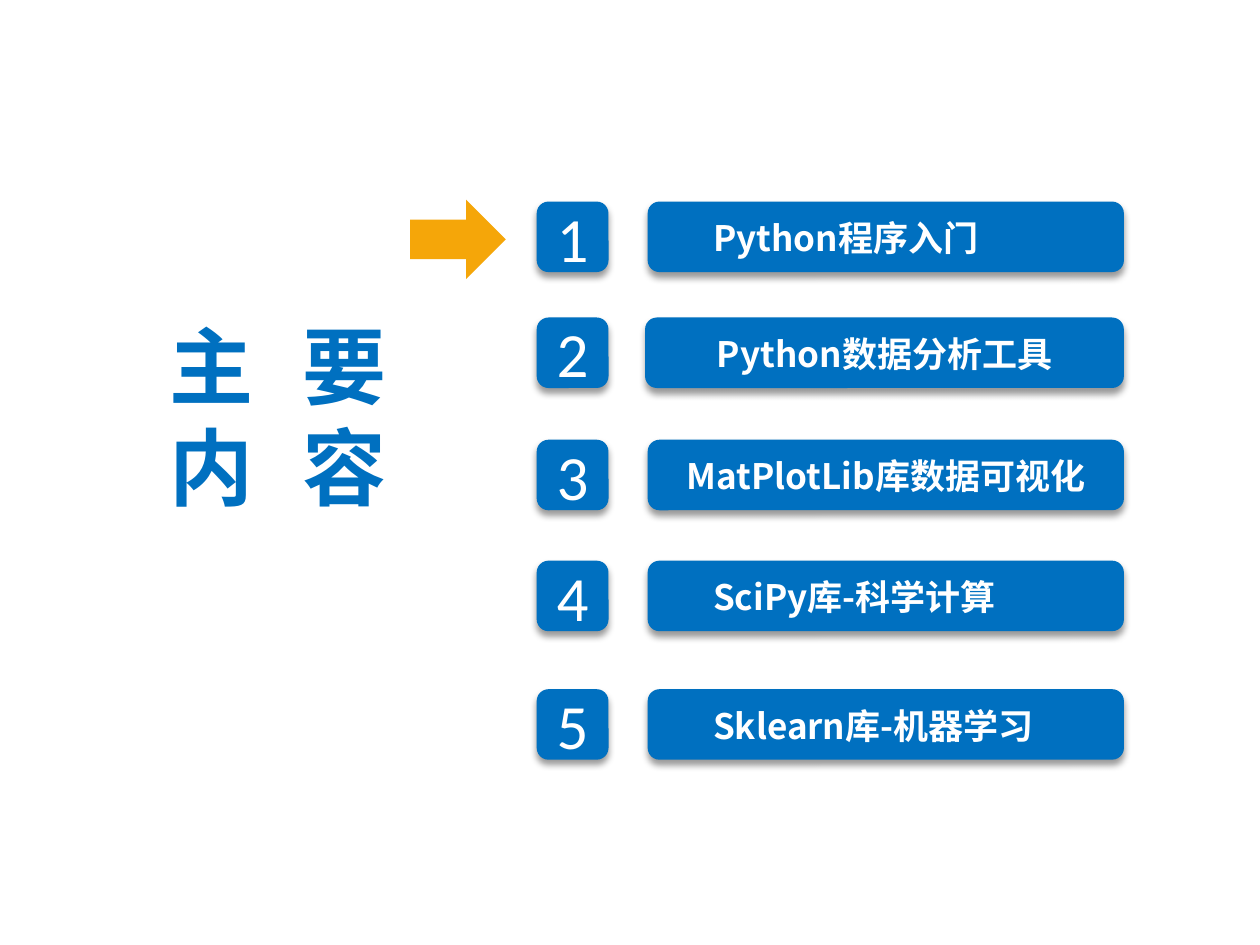
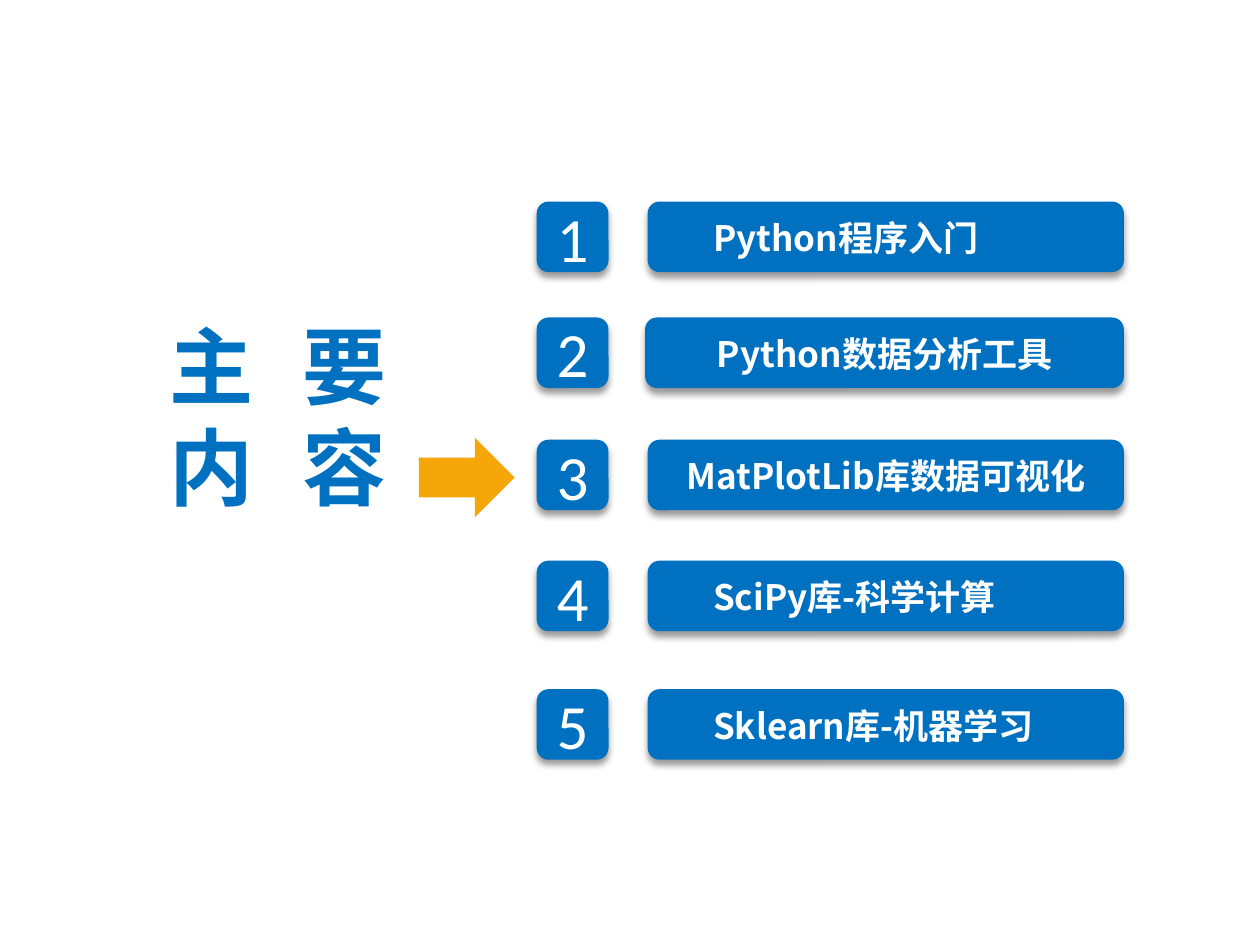
from dataclasses import dataclass

from lxml.etree import SubElement as sub
from pptx import Presentation
from pptx.dml.color import RGBColor as RGB
from pptx.enum.shapes import MSO_SHAPE as SHAPE
from pptx.enum.text import MSO_ANCHOR as ANCHOR, MSO_AUTO_SIZE as FIT, PP_ALIGN as ALIGN
from pptx.oxml.ns import qn
from pptx.util import Inches, Pt


@dataclass(frozen=True)
class Theme:
    blue: RGB = RGB(0x00, 0x70, 0xC0)
    gold: RGB = RGB(0xF5, 0xA6, 0x09)
    white: RGB = RGB(0xFF, 0xFF, 0xFF)
    digit: str = "Calibri"
    text: str = "Noto Sans CJK SC"
    title_pt: int = 48
    num_pt: int = 36
    label_pt: int = 20


THEME = Theme()
TITLE = ("主 要", "内 容")
TITLE_BOX = (0.33, 2.43, 3.75, 1.75)
NUM_X, NUM_W, ROW_H = 4.26, 0.57, 0.56
BAR_END = 8.92
# row top, bar left, label left, label width, label
ROWS = (
    (1.60, 5.14, 5.53, 3.23, "Python程序入门"),
    (2.52, 5.12, 5.56, 3.72, "Python数据分析工具"),
    (3.49, 5.14, 5.32, 3.61, "MatPlotLib库数据可视化"),
    (4.45, 5.14, 5.53, 3.23, "SciPy库-科学计算"),
    (5.47, 5.14, 5.53, 3.23, "Sklearn库-机器学习"),
)
# current row, arrow left
MARKS = ((0, 3.32), (2, 3.39))


def inch(box):
    return [Inches(v) for v in box]


def style(par, face, size, color, bold=False, gap=0):
    """Format a paragraph; gap is the letter spacing in points."""
    font = par.font
    font.name, font.size, font.bold = face, Pt(size), bold
    font.color.rgb = color
    props = par._p.pPr.find(qn("a:defRPr"))
    sub(props, qn("a:ea")).set("typeface", face)
    if gap:
        props.set("spc", str(round(gap * 100)))


def pad(frame, anchor):
    frame.margin_left = frame.margin_right = Inches(0.13)
    frame.margin_top = frame.margin_bottom = Inches(0.07)
    frame.vertical_anchor = anchor
    frame.word_wrap = True


def solid(shapes, kind, box, color):
    shape = shapes.add_shape(kind, *inch(box))
    shape.shadow.inherit = False
    shape.fill.solid()
    shape.fill.fore_color.rgb = color
    shape.line.fill.background()
    return shape


def tile(shapes, box):
    """Rounded blue box with a soft shadow below it."""
    shape = solid(shapes, SHAPE.ROUNDED_RECTANGLE, box, THEME.blue)
    effects = shape._element.spPr.find(qn("a:effectLst"))
    shade = sub(effects, qn("a:outerShdw"), blurRad=str(Pt(4)), dist=str(Pt(3)),
                dir="5400000", algn="t", rotWithShape="0")
    tint = sub(shade, qn("a:srgbClr"), val="000000")
    sub(tint, qn("a:alpha"), val="40000")
    return shape


def add_title(slide, box):
    title = slide.shapes.title
    title.left, title.top, title.width, title.height = inch(box)
    frame = title.text_frame
    pad(frame, ANCHOR.TOP)
    frame.auto_size = FIT.SHAPE_TO_FIT_TEXT
    frame.text = "\n".join(TITLE)
    for par in frame.paragraphs:
        par.alignment = ALIGN.CENTER
        style(par, THEME.text, THEME.title_pt, THEME.blue, True, gap=8.5)


def add_num(slide, num, box):
    frame = tile(slide.shapes, box).text_frame
    pad(frame, ANCHOR.MIDDLE)
    frame.text = str(num)
    par = frame.paragraphs[0]
    par.alignment = ALIGN.CENTER
    style(par, THEME.digit, THEME.num_pt, THEME.white)


def add_bar(slide, label, box, text_x, text_w):
    left, top, width, height = box
    group = slide.shapes.add_group_shape()
    tile(group.shapes, box)
    area = (text_x, top + 0.05, text_w, 0.47)
    frame = group.shapes.add_textbox(*inch(area)).text_frame
    pad(frame, ANCHOR.TOP)
    frame.auto_size = FIT.SHAPE_TO_FIT_TEXT
    frame.text = label
    style(frame.paragraphs[0], THEME.text, THEME.label_pt, THEME.white, True)


def add_arrow(slide, left, top):
    arrow = solid(slide.shapes, SHAPE.DOWN_ARROW, (left, top, 0.63, 0.76), THEME.gold)
    arrow.rotation = 270


def add_agenda(deck, current, arrow_x):
    slide = deck.slides.add_slide(deck.slide_layouts[5])
    add_title(slide, TITLE_BOX)
    for num, (top, bar_x, text_x, text_w, label) in enumerate(ROWS, 1):
        add_num(slide, num, (NUM_X, top, NUM_W, ROW_H))
        add_bar(slide, label, (bar_x, top, BAR_END - bar_x, ROW_H), text_x, text_w)
    add_arrow(slide, arrow_x, ROWS[current][0] - 0.08)


def main():
    deck = Presentation()
    deck.slide_width, deck.slide_height = Inches(10), Inches(7.5)
    for current, arrow_x in MARKS:
        add_agenda(deck, current, arrow_x)
    deck.save("out.pptx")


if __name__ == "__main__":
    main()
